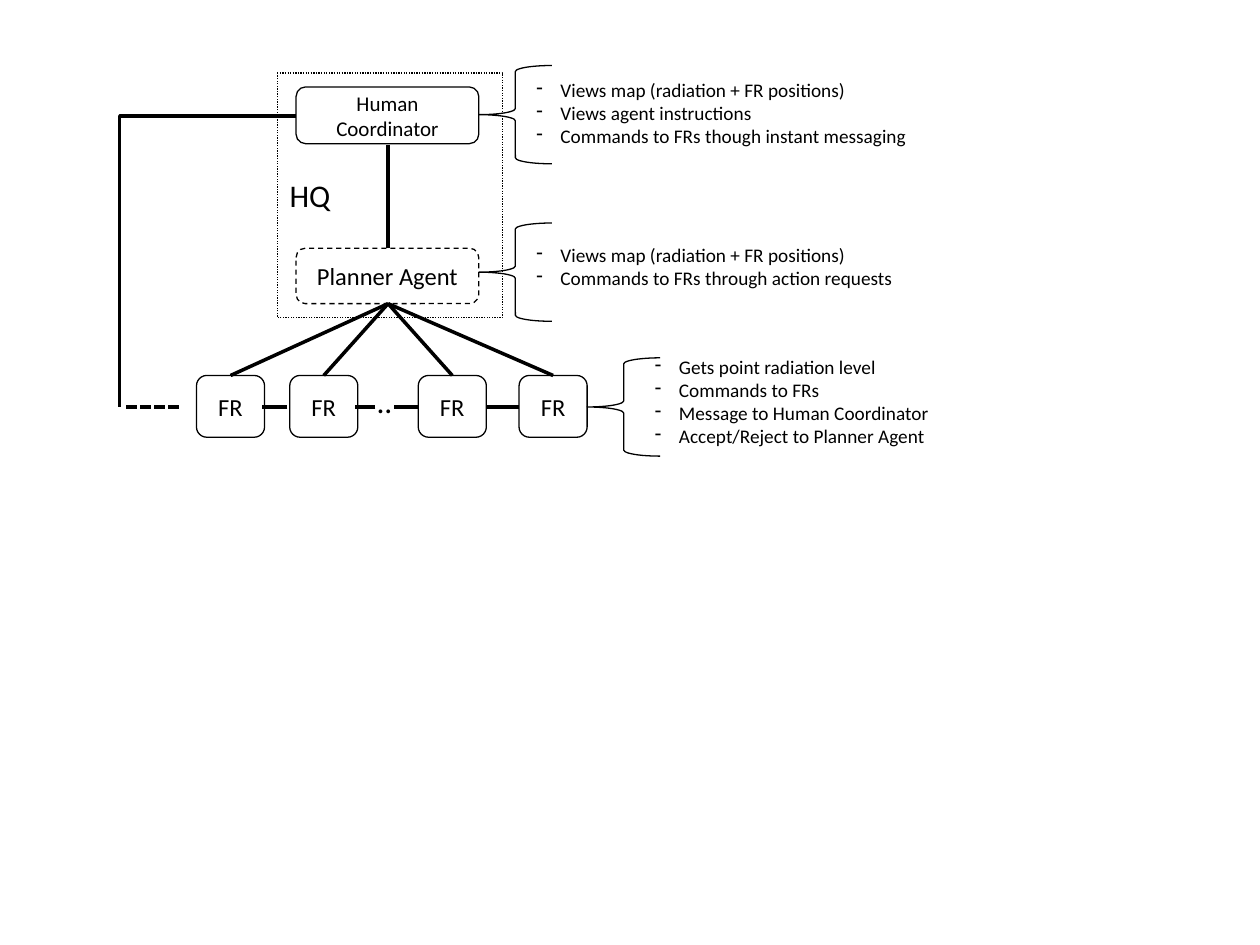
import dataclasses
import typing

import lxml.etree
import pptx
import pptx.dml.color
import pptx.enum.dml
import pptx.enum.shapes
import pptx.enum.text
import pptx.oxml.ns
import pptx.util

# The slide is a grid of 100 columns by 75 rows; places are in grid cells.
CELL = 0.1
COLS, ROWS = 100, 75
FONT = "Calibri"
COLORS = {"ink": "000000"}
DASH = pptx.enum.dml.MSO_LINE
KIND = pptx.enum.shapes.MSO_SHAPE
LINK = pptx.enum.shapes.MSO_CONNECTOR
ALIGN = pptx.enum.text.PP_ALIGN
Point = tuple[float, float]


@dataclasses.dataclass
class Box:
    """An outlined shape with an optional label."""
    col: float
    row: float
    wide: float
    high: float
    text: str = ""
    size: float = 14
    dash: typing.Any = None
    kind: typing.Any = KIND.ROUNDED_RECTANGLE
    curve: float | None = None


@dataclasses.dataclass
class Note:
    """A text box, with dashes before its lines if it is a list."""
    col: float
    row: float
    wide: float
    high: float
    lines: list[str]
    size: float = 18
    list: bool = False


def span(cells: float) -> int:
    """Turn grid cells into a length."""
    return pptx.util.Inches(cells * CELL)


def ink() -> pptx.dml.color.RGBColor:
    """Give the colour of lines and text."""
    return pptx.dml.color.RGBColor.from_string(COLORS["ink"])


def apply(target: typing.Any, values: dict) -> None:
    """Set each value on the target."""
    for name, value in values.items():
        setattr(target, name, value)


def stroke(line: typing.Any, width: float, dash: typing.Any = None) -> None:
    """Format a line."""
    line.color.rgb = ink()
    apply(line, {"width": pptx.util.Pt(width), "dash_style": dash})


def write(para: typing.Any, text: str, size: float, align: typing.Any) -> None:
    """Put one run of text in a paragraph."""
    para.alignment = align
    run = para.add_run()
    run.text = text
    apply(run.font, {"name": FONT, "size": pptx.util.Pt(size)})
    run.font.color.rgb = ink()


def add_box(shapes: typing.Any, box: Box) -> None:
    """Draw an outlined shape."""
    shape = shapes.add_shape(box.kind, *map(span, (box.col, box.row, box.wide, box.high)))
    shape.shadow.inherit = False
    shape.fill.background()
    stroke(shape.line, 0.75, box.dash)
    if box.curve is not None:
        shape.adjustments[0] = box.curve
    if box.text:
        frame = shape.text_frame
        apply(frame, {"word_wrap": True,
                      "vertical_anchor": pptx.enum.text.MSO_ANCHOR.MIDDLE})
        write(frame.paragraphs[0], box.text, box.size, ALIGN.CENTER)


def add_note(shapes: typing.Any, note: Note) -> None:
    """Draw a text box."""
    frame = shapes.add_textbox(*map(span, (note.col, note.row, note.wide, note.high))).text_frame
    apply(frame, {"word_wrap": False,
                  "auto_size": pptx.enum.text.MSO_AUTO_SIZE.SHAPE_TO_FIT_TEXT})
    for spot, text in enumerate(note.lines):
        para = frame.add_paragraph() if spot else frame.paragraphs[0]
        write(para, text, note.size, ALIGN.LEFT)
        if note.list:
            props = para._p.get_or_add_pPr()
            props.set("marL", str(span(1.9)))
            props.set("indent", str(-span(1.9)))
            mark = lxml.etree.SubElement(props, pptx.oxml.ns.qn("a:buChar"))
            mark.set("char", "-")


def add_link(shapes: typing.Any, start: Point, end: Point, dash: typing.Any = None,
             kind: typing.Any = LINK.STRAIGHT) -> typing.Any:
    """Draw a connector and return it."""
    link = shapes.add_connector(kind, *map(span, (*start, *end)))
    stroke(link.line, 2, dash)
    lxml.etree.SubElement(link._element.spPr, pptx.oxml.ns.qn("a:effectLst"))
    return link


def add_bend(shapes: typing.Any, low: Point, high: Point) -> None:
    """Draw a link that goes straight up and then turns right."""
    mid_x, mid_y = (low[0] + high[0]) / 2, (low[1] + high[1]) / 2
    half_x, half_y = (low[1] - high[1]) / 2, (high[0] - low[0]) / 2
    link = add_link(shapes, (mid_x + half_x, mid_y + half_y),
                    (mid_x - half_x, mid_y - half_y), kind=LINK.ELBOW)
    props = link._element.spPr
    props.find(pptx.oxml.ns.qn("a:xfrm")).set("rot", "5400000")
    props.find(pptx.oxml.ns.qn("a:prstGeom")).set("prst", "bentConnector2")


HUB = 30.8
TEAM_ROW, TEAM_MID = 29.8, 32.3
TEAM_WIDE, TEAM_HIGH = 5.4, 4.9
TEAM = [15.6, 23, 33.2, 41.2]
HEADS = [Box(23.5, 6.9, 14.5, 4.5, "Human Coordinator", 12),
         Box(23.5, 19.7, 14.5, 4.4, "Planner Agent", dash=DASH.DASH)]
FRAME = Box(22, 5.8, 17.9, 19.4, dash=DASH.ROUND_DOT, curve=0)
BRACES = [(38, 5.2), (38, 17.7), (46.6, 28.4)]
VIEWS = "Views map (radiation + FR positions)"
NOTES = [
    Note(28.9, 29.8, 3.3, 4, [".."]),
    Note(22, 13.5, 5.3, 4, ["HQ"]),
    Note(41.6, 5.7, 31.6, 6.6, [VIEWS, "Views agent instructions",
                                "Commands to FRs though instant messaging"], 11, True),
    Note(41.6, 18.8, 30.3, 6.6, [VIEWS, "Commands to FRs through action requests"], 11, True),
    Note(51, 27.7, 24.6, 10.3, ["Gets point radiation level", "Commands to FRs",
                                "Message to Human Coordinator",
                                "Accept/Reject to Planner Agent"], 11, True),
]
GAPS = [(22.8, 20.8), (29.8, 28.2), (41.2, 38.6), (33.2, 31.3)]


def main() -> None:
    """Build and save the slide."""
    deck = pptx.Presentation()
    apply(deck, {"slide_width": span(COLS), "slide_height": span(ROWS)})
    shapes = deck.slides.add_slide(deck.slide_layouts[6]).shapes

    team = [Box(col, TEAM_ROW, TEAM_WIDE, TEAM_HIGH, "FR") for col in TEAM]
    for box in HEADS + team:
        add_box(shapes, box)

    add_link(shapes, (HUB, 11.5), (HUB, 19.7))
    for col in TEAM:
        add_link(shapes, (HUB, 24.1), (col + TEAM_WIDE / 2, TEAM_ROW))
    add_bend(shapes, (9.5, TEAM_MID), (23.5, 9.2))
    add_link(shapes, (14.2, TEAM_MID), (9.9, TEAM_MID), DASH.SQUARE_DOT)
    for start, end in GAPS:
        add_link(shapes, (start, TEAM_MID), (end, TEAM_MID))

    for note in NOTES:
        add_note(shapes, note)
    add_box(shapes, FRAME)
    for col, row in BRACES:
        add_box(shapes, Box(col, row, 5.8, 7.8, kind=KIND.LEFT_BRACE))
    deck.save("out.pptx")


main()
